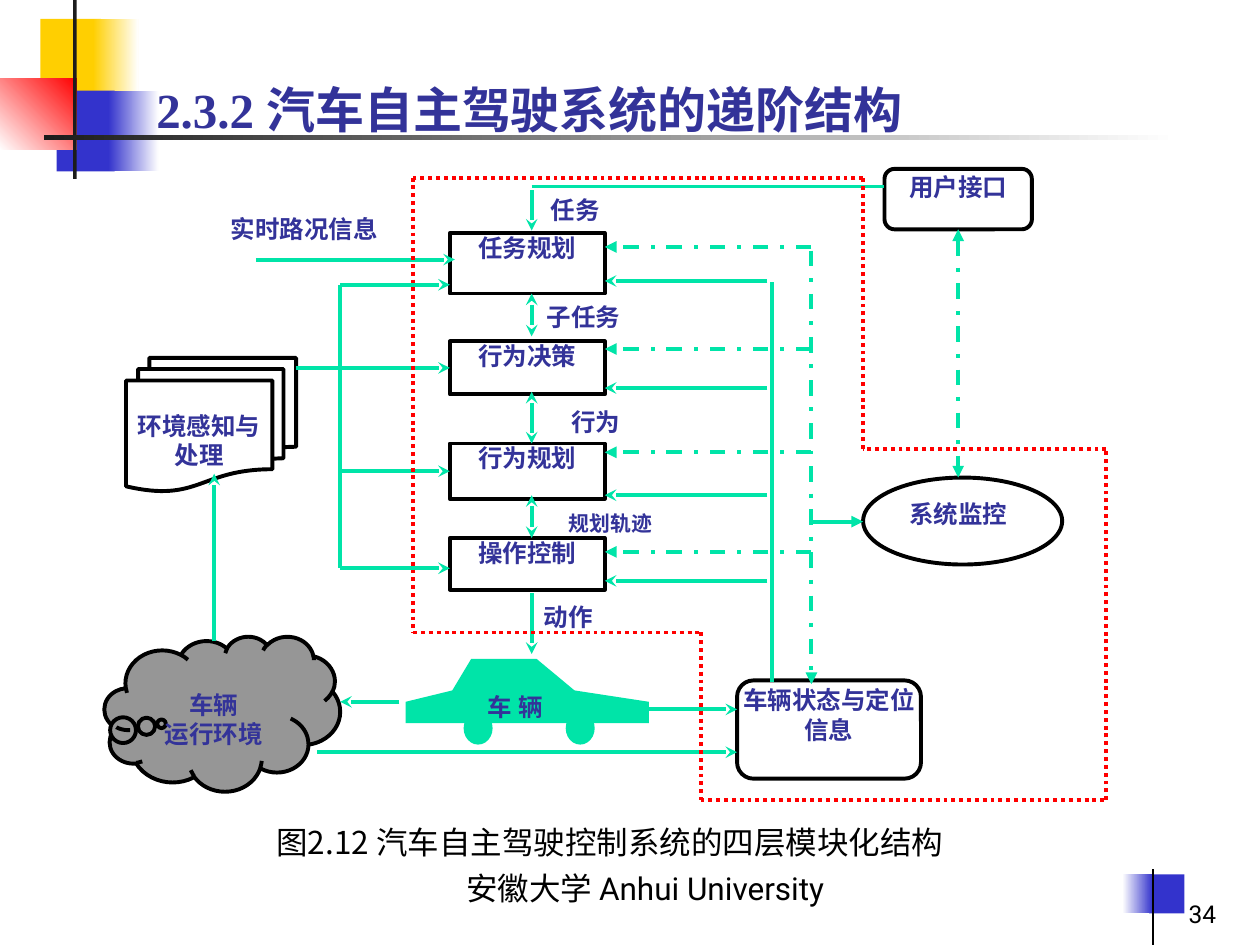
from lxml import etree
from pptx import Presentation
from pptx import util as u
from pptx.dml.color import RGBColor
from pptx.enum import dml, shapes, text
from pptx.oxml import ns

GOLD = RGBColor(0xFF, 0xCF, 0x01)
BLUE = RGBColor(0x33, 0x33, 0xCC)
INDIGO = RGBColor(0x33, 0x33, 0x99)
RED = RGBColor(0xFF, 0x00, 0x00)
GREEN = RGBColor(0x00, 0xE4, 0xA8)
GRAY = RGBColor(0x96, 0x96, 0x96)
DARK = RGBColor(0x1C, 0x1C, 0x1C)
BLACK = RGBColor(0x00, 0x00, 0x00)
WHITE = RGBColor(0xFF, 0xFF, 0xFF)
SERIF, SANS, CJK = "Times New Roman", "Roboto", "Noto Sans CJK SC"

deck = Presentation()
deck.slide_width, deck.slide_height = u.Inches(10), u.Inches(7.5)
COL, ROW = deck.slide_width / 100, deck.slide_height / 75
slide = deck.slides.add_slide(deck.slide_layouts[5])
items = slide.shapes
KIND = shapes.MSO_SHAPE
TOP, BOTTOM = text.MSO_ANCHOR.TOP, text.MSO_ANCHOR.BOTTOM
LEFT, CENTER, RIGHT = text.PP_ALIGN.LEFT, text.PP_ALIGN.CENTER, text.PP_ALIGN.RIGHT


def cell(x, y, w, h):
    return round(x * COL), round(y * ROW), round(w * COL), round(h * ROW)


def write(holder, words, size=14, font=SERIF, color=INDIGO, bold=True,
          align=CENTER, anchor=TOP, inset=(0, 0)):
    frame = holder.text_frame
    frame.word_wrap = True
    frame.text = words
    frame.vertical_anchor = anchor
    frame.margin_left = frame.margin_right = u.Inches(inset[0])
    frame.margin_top = frame.margin_bottom = u.Inches(inset[1])
    for paragraph in frame.paragraphs:
        paragraph.alignment = align
        for run in paragraph.runs:
            run.font.size, run.font.bold, run.font.name = u.Pt(size), bold, font
            run.font.color.rgb = color
            east = etree.SubElement(run._r.get_or_add_rPr(), ns.qn("a:ea"))
            east.set("typeface", CJK)


ornaments = [
    (3.2, 1.5, 4.8, 6.4, GOLD, None, 0),
    (7.4, 1.5, 3.6, 6.4, GOLD, WHITE, 0),
    (4.5, 7.2, 4.6, 6.4, BLUE, None, 0),
    (8.6, 7.2, 4, 6.4, BLUE, WHITE, 0),
    (0, 6.2, 6.1, 5.7, WHITE, RED, 45),
    (5.8, 0, 0.3, 14.2, DARK, None, 0),
    (3.5, 10.7, 90, 0.4, DARK, WHITE, 0),
    (91.2, 69.4, 2.8, 3.1, BLUE, None, 0),
    (89.1, 69.4, 2.4, 3.1, WHITE, BLUE, 0),
]
for x, y, w, h, start, finish, angle in ornaments:
    ornament = items.add_shape(KIND.RECTANGLE, *cell(x, y, w, h))
    ornament.shadow.inherit = False
    ornament.line.fill.background()
    if finish is None:
        ornament.fill.solid()
        ornament.fill.fore_color.rgb = start
    else:
        ornament.fill.gradient()
        ornament.fill.gradient_angle = angle
        for stop, position, color in zip(ornament.fill.gradient_stops, (0, 1), (start, finish)):
            stop.position, stop.color.rgb = position, color

modules = [
    (KIND.OVAL, 68.5, 37.9, 15.8, 6.9, "", WHITE, BLACK),
    (KIND.RECTANGLE, 35.7, 18.5, 12.3, 4.8, "任务规划", WHITE, BLACK),
    (KIND.RECTANGLE, 35.7, 27.1, 12.3, 4.2, "行为决策", WHITE, BLACK),
    (KIND.RECTANGLE, 35.7, 35.2, 12.3, 4.4, "行为规划", WHITE, BLACK),
    (KIND.RECTANGLE, 35.7, 42.7, 12.3, 4.1, "操作控制", WHITE, BLACK),
    (KIND.OVAL, 36.8, 56.5, 2.3, 2.6, "", GREEN, None),
    (KIND.OVAL, 44.9, 56.5, 2.3, 2.6, "", GREEN, None),
    (KIND.CLOUD_CALLOUT, 8.3, 50.5, 18.7, 12.3, "车辆\n运行环境", GRAY, BLACK),
    (KIND.FLOWCHART_MULTIDOCUMENT, 10, 28.4, 13.5, 10.6, "环境感知与处理", WHITE, BLACK),
    (KIND.ROUNDED_RECTANGLE, 58.5, 54, 14.6, 7.8, "车辆状态与定位信息", WHITE, BLACK),
    (KIND.ROUNDED_RECTANGLE, 70.2, 13.4, 11.7, 4.8, "用户接口", WHITE, BLACK),
]
named = {}
for kind, x, y, w, h, words, fill, edge in modules:
    module = items.add_shape(kind, *cell(x, y, w, h))
    module.shadow.inherit = False
    module.fill.solid()
    module.fill.fore_color.rgb = fill
    if edge is None:
        module.line.fill.background()
    else:
        module.line.color.rgb, module.line.width = edge, u.Pt(2.25)
    if words:
        write(module, words)
        named[words] = module
    if kind == KIND.CLOUD_CALLOUT:
        module.adjustments[0], module.adjustments[1] = -0.258, 0.065
    if kind in (KIND.CLOUD_CALLOUT, KIND.FLOWCHART_MULTIDOCUMENT):
        module.text_frame.margin_top = u.Inches(0.24)

outline = [(32.2, 57.4), (32.2, 55.7), (35.9, 54.8), (37.4, 52.3),
           (42.6, 52.3), (45.6, 54.8), (51.5, 55.7), (51.5, 57.4)]
corners = [(round(x * COL), round(y * ROW)) for x, y in outline]
builder = items.build_freeform(*corners[0])
builder.add_line_segments(corners[1:], close=True)
car = builder.convert_to_shape()
car.shadow.inherit = False
car.fill.solid()
car.fill.fore_color.rgb = GREEN
car.line.fill.background()

labels = [
    (70.2, 39.6, 11.7, 3.4, "系统监控", 14),
    (40.4, 15.5, 10.5, 3.4, "任务", 14),
    (15.5, 17, 17.3, 3.4, "实时路况信息", 14),
    (42.2, 24, 8.2, 2.4, "子任务", 14),
    (43.2, 32.3, 8.2, 2.4, "行为", 14),
    (42.8, 40.5, 11.3, 2.1, "规划轨迹", 11.9),
    (41, 47.8, 8.2, 2.4, "动作", 14),
    (36.7, 54.9, 8.4, 2.3, "车 辆", 14),
]
for x, y, w, h, words, size in labels:
    write(items.add_textbox(*cell(x, y, w, h)), words, size)

SOLID, DOT, DASH = None, dml.MSO_LINE.ROUND_DOT, dml.MSO_LINE.DASH_DOT
flows = [
    (42.2, 15.1, 42.2, 18.3, SOLID, None, "stealth"),
    (42.2, 47.1, 42.2, 51.9, SOLID, None, "stealth"),
    (31.7, 55.7, 27, 55.7, SOLID, None, "stealth"),
    (17, 50.9, 17, 37.6, SOLID, None, "stealth"),
    (51.5, 56.3, 58.5, 56.3, SOLID, None, "stealth"),
    (25.2, 59.7, 58.5, 59.7, SOLID, None, "stealth"),
    (20.3, 20.6, 36.1, 20.6, SOLID, None, "stealth"),
    (61.3, 54.1, 61.3, 22.4, SOLID, None, None),
    (27, 22.6, 27, 45.1, SOLID, None, None),
    (27, 22.6, 35.7, 22.6, SOLID, None, "stealth"),
    (23.5, 29.2, 35.7, 29.2, SOLID, None, "stealth"),
    (27, 37.4, 35.7, 37.4, SOLID, None, "stealth"),
    (27, 45.1, 35.7, 45.1, SOLID, None, "stealth"),
    (76.05, 18.2, 76.05, 37.9, DASH, "triangle", "triangle"),
    (64.4, 19.9, 64.4, 54.3, DASH, None, "triangle"),
    (64.4, 41.4, 68.5, 41.4, SOLID, None, "triangle"),
    (42.2, 14.8, 70.2, 14.8, SOLID, None, None),
]
flows += [(42.2, a, 42.2, b, SOLID, "stealth", "stealth")
          for a, b in ((23.3, 26.7), (31.1, 35.2), (39.3, 42.7))]
flows += [(60.9, y, 48, y, SOLID, None, "stealth") for y in (22.3, 30.8, 39.3, 46.1)]
flows += [(64.4, y, 48, y, DASH, None, "triangle") for y in (19.6, 27.7, 35.9, 43.8)]
border = [(32.8, 14.1), (32.8, 50.2), (55.6, 50.2), (55.6, 63.5), (87.8, 63.5),
          (87.8, 35.6), (68.5, 35.6), (68.5, 14.1), (32.8, 14.1)]
links = [(*flow, GREEN, 2.25) for flow in flows]
links += [(*a, *b, DOT, None, None, RED, 2.25) for a, b in zip(border, border[1:])]
links.append((91.5, 69, 91.5, 75, SOLID, None, None, BLACK, 0.75))
joints = {(35.7, 29.2): "行为决策", (35.7, 37.4): "行为规划"}

for x1, y1, x2, y2, dash, head, tail, color, width in links:
    link = items.add_connector(shapes.MSO_CONNECTOR.STRAIGHT, *cell(x1, y1, x2, y2))
    link.line.color.rgb, link.line.width = color, u.Pt(width)
    if dash is not None:
        link.line.dash_style = dash
    for tag, tip in (("a:headEnd", head), ("a:tailEnd", tail)):
        if tip:
            etree.SubElement(link.line._get_or_add_ln(), ns.qn(tag)).set("type", tip)
    etree.SubElement(link._element.spPr, ns.qn("a:effectLst"))
    if (x2, y2) in joints:
        link.end_connect(named[joints[x2, y2]], 1)
    if (x1, y1) == (76.05, 18.2):
        link.begin_connect(named["用户接口"], 2)

write(items.add_textbox(*cell(17.9, 65.3, 61, 4.5)),
      "图2.12 汽车自主驾驶控制系统的四层模块化结构", 18, CJK, BLACK, False)
write(items.add_textbox(*cell(19.3, 67.5, 63.8, 5)), "安徽大学 Anhui University",
      18, SANS, BLACK, False, anchor=BOTTOM, inset=(0.1, 0.05))
write(items.add_textbox(*cell(76.7, 69, 20.8, 5.2)), "34",
      14, SANS, BLACK, False, RIGHT, BOTTOM, (0.1, 0.05))

title = items.title
title.left, title.top, title.width, title.height = cell(11.4, 3.9, 78, 7.6)
write(title, "2.3.2 汽车自主驾驶系统的递阶结构", 28, align=LEFT, anchor=BOTTOM, inset=(0.1, 0.05))
items._spTree.append(title._element)

deck.save("out.pptx")
